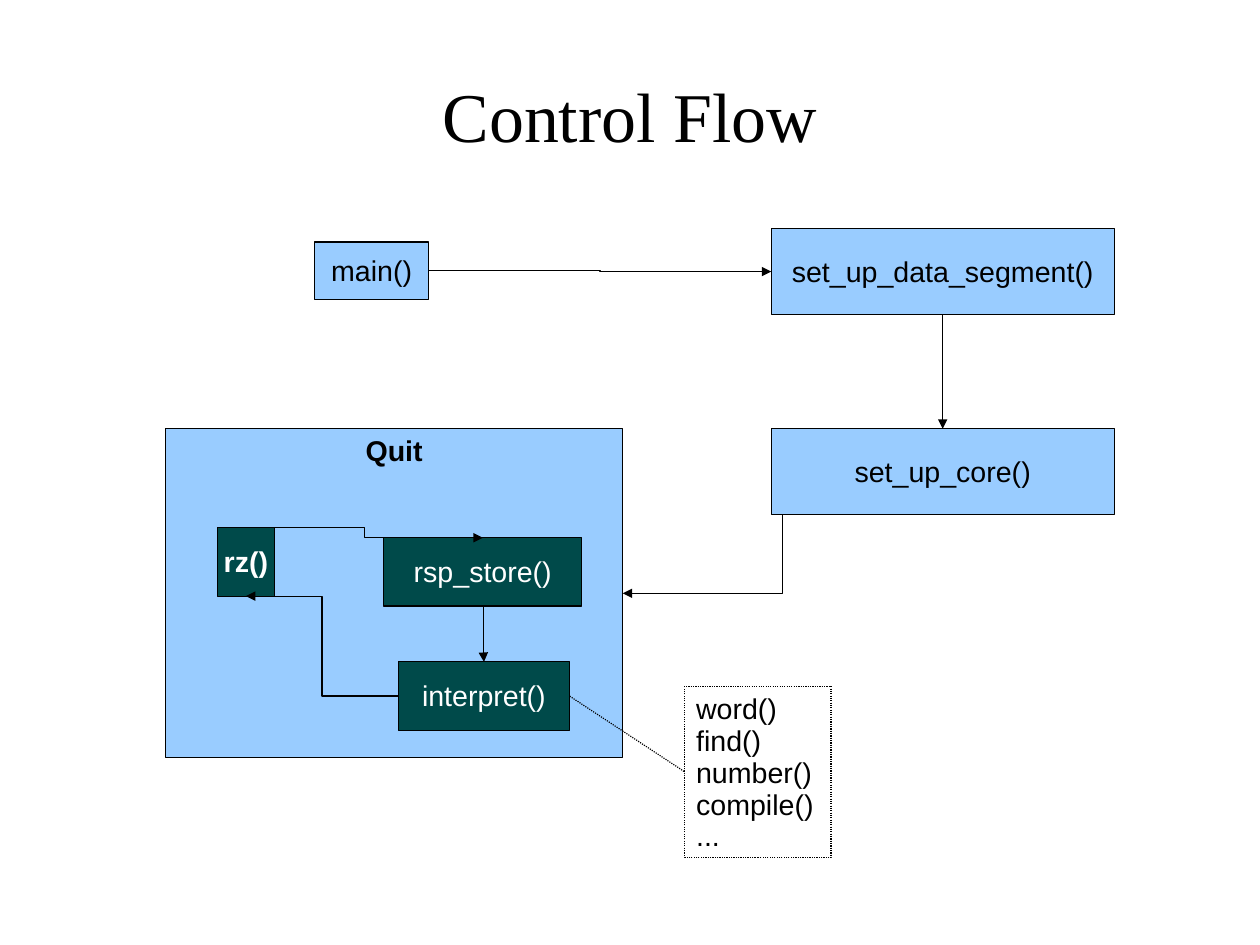
"""Build the Control Flow slide: function boxes joined by arrows."""
from lxml import etree
from pptx import Presentation
from pptx import util as u
from pptx.dml.color import RGBColor
from pptx.enum import dml, shapes, text
from pptx.oxml.ns import qn

BLACK = RGBColor(0x00, 0x00, 0x00)
WHITE = RGBColor(0xFF, 0xFF, 0xFF)
BLUE = RGBColor(0x99, 0xCC, 0xFF)
TEAL = RGBColor(0x00, 0x4A, 0x4A)
DOTS = dml.MSO_LINE.ROUND_DOT
ELBOW = shapes.MSO_CONNECTOR.ELBOW
LINE = shapes.MSO_CONNECTOR.STRAIGHT
MID, TOP = text.MSO_ANCHOR.MIDDLE, text.MSO_ANCHOR.TOP
LEFT, RIGHT, UP, DOWN = (0, 0.5), (1, 0.5), (0.5, 0), (0.5, 1)


def style(frame, font, size, color, bold, align):
    for para in frame.paragraphs:
        para.alignment = align
        para.line_spacing = 0.93
        para.font.name = font
        para.font.size = u.Pt(size)
        para.font.color.rgb = color
        para.font.bold = bold


def site(box, side):
    return (box.left + int(box.width * side[0]),
            box.top + int(box.height * side[1]))


deck = Presentation()
deck.slide_width, deck.slide_height = u.Cm(28), u.Cm(21)
slide = deck.slides.add_slide(deck.slide_layouts[5])

title = slide.shapes.title
title.left, title.top = u.Cm(1.4), u.Cm(0.97)
title.width, title.height = u.Cm(25.2), u.Cm(3.25)
frame = title.text_frame
frame.text = "Control Flow"
frame.auto_size = text.MSO_AUTO_SIZE.NONE
frame.vertical_anchor = MID
frame.margin_left = frame.margin_right = frame.margin_bottom = 0
frame.margin_top = u.Cm(0.1)
style(frame, "Times New Roman", 44, BLACK, False, text.PP_ALIGN.CENTER)

words = "word()\nfind()\nnumber()\ncompile()\n..."
boxes = {}
for key, label, x, y, w, h, fill, ink, bold, anchor in (
    ("quit", "Quit", 3.68, 9.53, 10.16, 7.31, BLUE, BLACK, True, TOP),
    ("main", "main()", 6.99, 5.38, 2.54, 1.27, BLUE, BLACK, False, MID),
    ("data", "set_up_data_segment()", 17.14, 5.08, 7.62, 1.91, BLUE, BLACK, False, MID),
    ("core", "set_up_core()", 17.14, 9.53, 7.62, 1.91, BLUE, BLACK, False, MID),
    ("rz", "rz()", 4.83, 11.73, 1.27, 1.52, TEAL, WHITE, True, MID),
    ("store", "rsp_store()", 8.53, 11.95, 4.4, 1.52, TEAL, WHITE, False, MID),
    ("run", "interpret()", 8.85, 14.71, 3.81, 1.52, TEAL, WHITE, False, MID),
    ("words", words, 15.22, 15.25, 3.25, 3.81, None, BLACK, False, TOP),
):
    box = slide.shapes.add_shape(shapes.MSO_SHAPE.RECTANGLE,
                                 u.Cm(x), u.Cm(y), u.Cm(w), u.Cm(h))
    box.shadow.inherit = False
    box.line.color.rgb = BLACK
    box.line.width = u.Pt(0.75)
    align = text.PP_ALIGN.CENTER
    if fill is None:
        box.fill.background()
        box.line.dash_style = DOTS
        align = text.PP_ALIGN.LEFT
    else:
        box.fill.solid()
        box.fill.fore_color.rgb = fill
    frame = box.text_frame
    frame.text = label
    frame.word_wrap = False
    frame.vertical_anchor = anchor
    frame.margin_left = frame.margin_right = u.Cm(0.25)
    frame.margin_top, frame.margin_bottom = u.Cm(0.17), u.Cm(0.13)
    style(frame, "Arial", 18, ink, bold, align)
    boxes[key] = box

for kind, start, out, end, into in (
    (ELBOW, "main", RIGHT, "data", LEFT),
    (ELBOW, "data", DOWN, "core", UP),
    (ELBOW, "core", DOWN, "quit", RIGHT),
    (ELBOW, "rz", UP, "store", UP),
    (ELBOW, "store", DOWN, "run", UP),
    (ELBOW, "run", LEFT, "rz", DOWN),
    (LINE, "run", RIGHT, "words", LEFT),
):
    link = slide.shapes.add_connector(kind, *site(boxes[start], out),
                                      *site(boxes[end], into))
    link.line.color.rgb = BLACK
    link.line.width = u.Pt(0.75)
    props = link.element.spPr
    if end == "words":
        link.line.dash_style = DOTS
    else:
        etree.SubElement(props.find(qn("a:ln")), qn("a:tailEnd"), type="triangle")
    etree.SubElement(props, qn("a:effectLst"))

deck.save("out.pptx")
